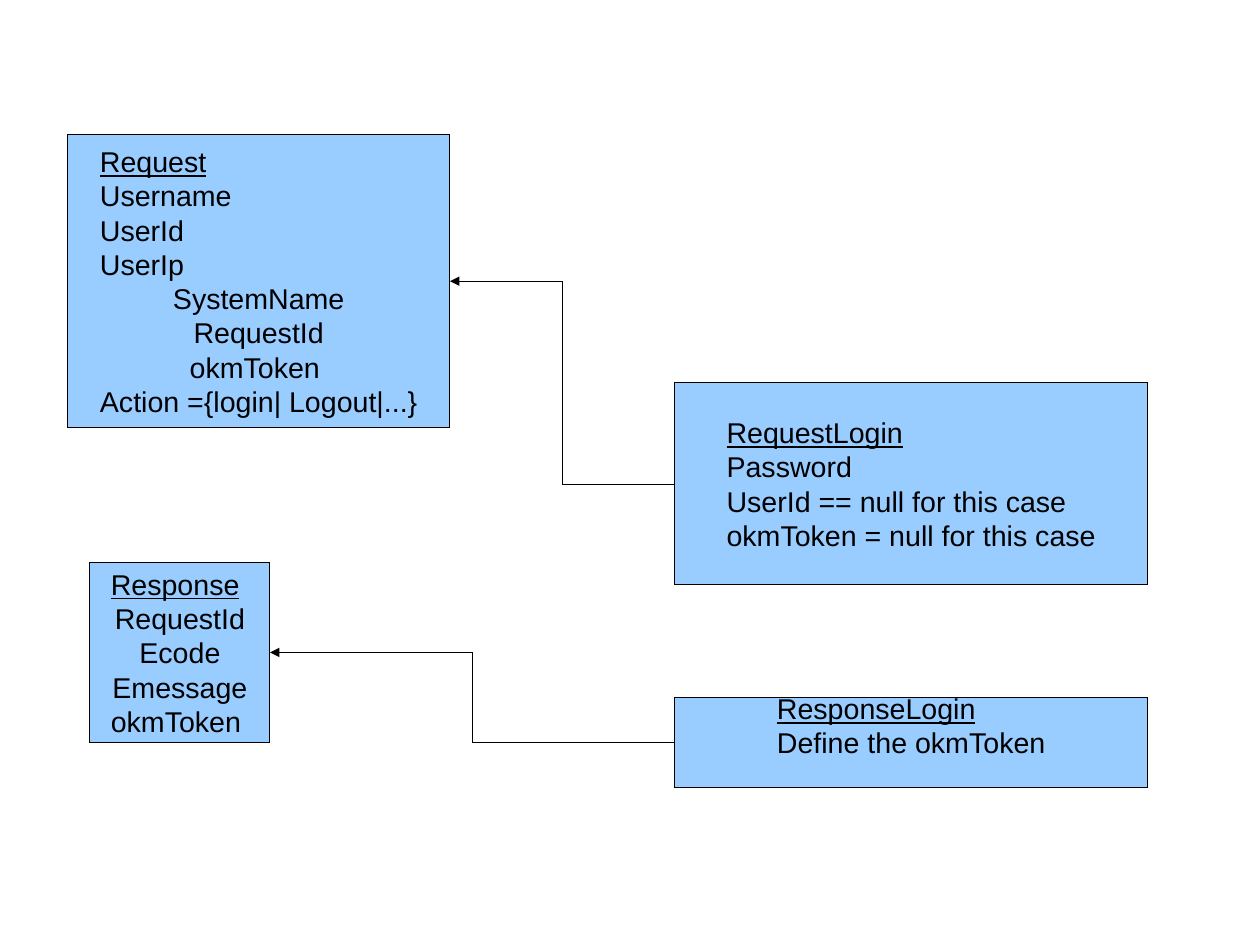
import pptx
import pptx.dml.color
import pptx.enum.shapes
import pptx.enum.text
import pptx.oxml.ns
import pptx.util
from lxml import etree

Cm = pptx.util.Cm
COLORS = {"box": "99CCFF", "ink": "000000"}
ALIGN = pptx.enum.text.PP_ALIGN
RIGHT_SIDE, LEFT_SIDE = 3, 1


def rgb(name):
    return pptx.dml.color.RGBColor.from_string(COLORS[name])


def write_text(paragraph, text, font="Arial", size=18, color="ink", underline=False, align=ALIGN.LEFT):
    paragraph.alignment = align
    run = paragraph.add_run()
    run.text = text
    run.font.name = font
    run.font.size = pptx.util.Pt(size)
    run.font.color.rgb = rgb(color)
    run.font.underline = underline


class ClassDiagram:
    """Draws message classes and their inheritance arrows on one slide."""

    def __init__(self, slide, line_width=0.01):
        self.slide = slide
        self.line_width = pptx.util.Pt(line_width)

    def outline(self, line):
        line.color.rgb = rgb("ink")
        line.width = self.line_width

    def box(self, left, top, width, height, title, fields, centered=(), bottom_margin=0.13):
        shape = self.slide.shapes.add_shape(
            pptx.enum.shapes.MSO_SHAPE.RECTANGLE, Cm(left), Cm(top), Cm(width), Cm(height))
        shape.shadow.inherit = False
        shape.fill.solid()
        shape.fill.fore_color.rgb = rgb("box")
        self.outline(shape.line)
        frame = shape.text_frame
        frame.word_wrap = False
        frame.vertical_anchor = pptx.enum.text.MSO_ANCHOR.MIDDLE
        frame.margin_bottom = Cm(bottom_margin)
        frame._txBody.bodyPr.set("anchorCtr", "1")
        write_text(frame.paragraphs[0], title, underline=True)
        for field in fields:
            write_text(frame.add_paragraph(), field)
        for field in centered:
            write_text(frame.add_paragraph(), field, align=ALIGN.CENTER)
        return shape

    def inheritance(self, parent, child):
        connector = self.slide.shapes.add_connector(
            pptx.enum.shapes.MSO_CONNECTOR.ELBOW, 0, 0, 0, 0)
        connector.begin_connect(parent, RIGHT_SIDE)
        connector.end_connect(child, LEFT_SIDE)
        self.outline(connector.line)
        qn = pptx.oxml.ns.qn
        etree.SubElement(connector.line._get_or_add_ln(), qn("a:headEnd"), type="triangle")
        etree.SubElement(connector._element.spPr, qn("a:effectLst"))


def main():
    presentation = pptx.Presentation()
    presentation.slide_width = Cm(28)
    presentation.slide_height = Cm(21)
    diagram = ClassDiagram(presentation.slides.add_slide(presentation.slide_layouts[6]))

    response_login = diagram.box(
        15, 15.5, 10.5, 2, "ResponseLogin", ["Define the okmToken"], bottom_margin=0.89)
    response = diagram.box(
        2, 12.5, 4, 4, "Response", [], ["RequestId", "Ecode", "Emessage", "okmToken "])
    request = diagram.box(
        1.5, 3, 8.5, 6.5, "Request", ["Username", "UserId", "UserIp"],
        ["SystemName", "RequestId", "okmToken ", "Action ={login| Logout|...}"])
    request_login = diagram.box(
        15, 8.5, 10.5, 4.5, "RequestLogin",
        ["Password", "UserId == null for this case", "okmToken = null for this case"])

    diagram.inheritance(response, response_login)
    diagram.inheritance(request, request_login)
    presentation.save("out.pptx")


if __name__ == "__main__":
    main()
